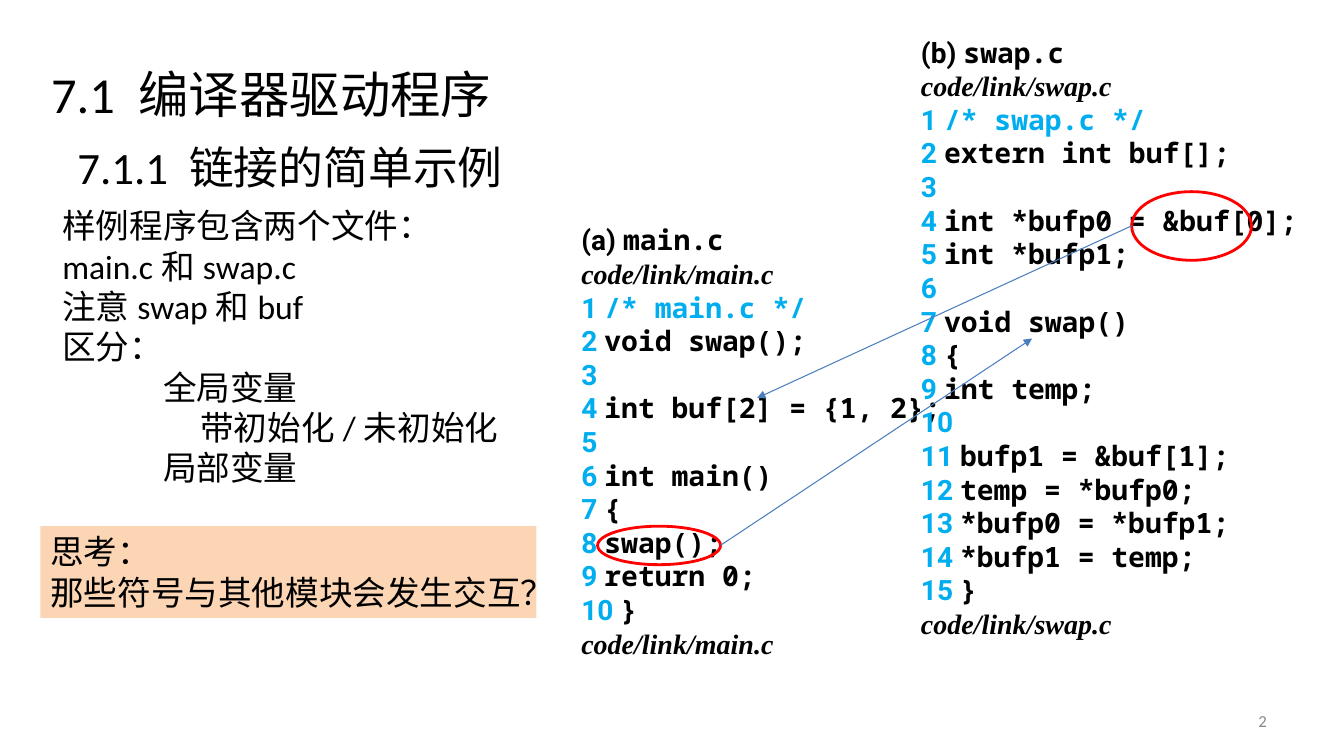
from dataclasses import dataclass

from lxml import etree
from pptx import Presentation
from pptx.dml.color import RGBColor
from pptx.enum.shapes import MSO_CONNECTOR, MSO_SHAPE
from pptx.enum.text import MSO_ANCHOR, PP_ALIGN
from pptx.oxml.ns import qn
from pptx.util import Cm, Pt

ELLIPSE, RECTANGLE = MSO_SHAPE.OVAL, MSO_SHAPE.RECTANGLE
STRAIGHT = MSO_CONNECTOR.STRAIGHT
TOP, MIDDLE = MSO_ANCHOR.TOP, MSO_ANCHOR.MIDDLE
LEFT, CENTER, RIGHT = PP_ALIGN.LEFT, PP_ALIGN.CENTER, PP_ALIGN.RIGHT

BLACK, CYAN, RED, BLUE = "000000", "00AEF0", "FF0000", "4B7EBC"
PEACH, GRAY = "FCD5B5", "898989"
BODY, CODE, NUMBER, PATH = "Calibri", "Noto Sans Mono", "Roboto", "Times New Roman"


@dataclass
class Box:
    left: float
    top: float
    width: float
    height: float

    def lengths(self):
        return Cm(self.left), Cm(self.top), Cm(self.width), Cm(self.height)


@dataclass
class Listing:
    label: str
    file: str
    box: Box
    lines: list[str]


@dataclass
class Reference:
    """A circled symbol and the arrow from it to its definition."""
    circle: Box
    start: tuple[float, float]
    end: tuple[float, float]


LISTINGS = [
    Listing("(a) ", "main.c", Box(14.4, 5.49, 10.74, 11.28), [
        "/* main.c */", "void swap();", "", "int buf[2] = {1, 2};", "",
        "int main()", "{", "swap();", "return 0;", "}"]),
    Listing("(b) ", "swap.c", Box(22.96, 0.76, 10.44, 15.65), [
        "/* swap.c */", "extern int buf[];", "", "int *bufp0 = &buf[0];",
        "int *bufp1;", "", "void swap()", "{", "int temp;", "",
        "bufp1 = &buf[1];", "temp = *bufp0;", "*bufp0 = *bufp1;",
        "*bufp1 = temp;", "}"]),
]

REFERENCES = [
    Reference(Box(15.06, 13.26, 3.1, 0.97), (18.16, 13.74), (26.01, 8.53)),
    Reference(Box(28.52, 4.83, 3.02, 1.73), (28.52, 5.69), (19.08, 10.03)),
]

# Text and left indent in centimetres
NOTES = [
    ("样例程序包含两个文件：main.c和swap.c", 0), ("注意swap和buf", 0), ("区分：", 0),
    ("全局变量", 2.54), ("带初始化/未初始化", 3.48), ("局部变量", 2.54),
]
QUESTION = [("思考：", 0), ("那些符号与其他模块会发生交互？", 0)]


def color(value: str) -> RGBColor:
    return RGBColor.from_string(value)


def add_run(paragraph, text: str, *, size=20, font=BODY, fill=BLACK,
            bold=False, italic=False) -> None:
    run = paragraph.add_run()
    run.text = text
    run.font.size = Pt(size)
    run.font.name = font
    run.font.bold = bold
    run.font.italic = italic
    run.font.color.rgb = color(fill)
    properties = run.font._element
    for tag in ("a:ea", "a:cs"):
        if font != BODY:
            etree.SubElement(properties, qn(tag)).set("typeface", font)


def add_text_frame(slide, box: Box, anchor=TOP):
    frame = slide.shapes.add_textbox(*box.lengths()).text_frame
    frame.word_wrap = True
    frame.vertical_anchor = anchor
    return frame


def next_paragraph(frame, align=LEFT):
    first = frame.paragraphs[0]
    paragraph = frame.add_paragraph() if first.runs else first
    paragraph.alignment = align
    return paragraph


def add_line(slide, box: Box, text: str, size: float, *, align=LEFT,
             anchor=TOP, fill=BLACK) -> None:
    frame = add_text_frame(slide, box, anchor)
    add_run(next_paragraph(frame, align), text, size=size, fill=fill)


def fill_notes(frame, notes: list[tuple[str, float]]) -> None:
    for text, indent in notes:
        paragraph = next_paragraph(frame)
        paragraph._p.get_or_add_pPr().set("marL", str(int(Cm(indent))))
        add_run(paragraph, text, size=24)


def add_listing(slide, listing: Listing) -> None:
    frame = add_text_frame(slide, listing.box)

    def code_paragraph():
        paragraph = next_paragraph(frame)
        paragraph.line_spacing = Pt(24)
        return paragraph

    def add_path() -> None:
        add_run(code_paragraph(), f"code/link/{listing.file}", font=PATH,
                bold=True, italic=True)

    heading = code_paragraph()
    add_run(heading, listing.label, font=NUMBER, bold=True)
    add_run(heading, listing.file, font=CODE, bold=True)
    add_path()
    for number, line in enumerate(listing.lines, start=1):
        paragraph = code_paragraph()
        add_run(paragraph, f"{number} " if line else str(number),
                font=NUMBER, fill=CYAN, bold=True)
        if line:
            add_run(paragraph, line, font=CODE, bold=True,
                    fill=CYAN if line.startswith("/*") else BLACK)
    add_path()


def add_reference(slide, reference: Reference) -> None:
    circle = slide.shapes.add_shape(ELLIPSE, *reference.circle.lengths())
    circle.shadow.inherit = False
    circle.fill.background()
    circle.line.color.rgb = color(RED)
    circle.line.width = Pt(2)

    ends = [Cm(value) for value in reference.start + reference.end]
    arrow = slide.shapes.add_connector(STRAIGHT, *ends)
    arrow.line.color.rgb = color(BLUE)
    arrow.line.width = Pt(0.75)
    etree.SubElement(arrow.line._get_or_add_ln(), qn("a:tailEnd")).set("type", "triangle")
    etree.SubElement(arrow._element.spPr, qn("a:effectLst"))


def add_question(slide, box: Box) -> None:
    panel = slide.shapes.add_shape(RECTANGLE, *box.lengths())
    panel.shadow.inherit = False
    panel.fill.solid()
    panel.fill.fore_color.rgb = color(PEACH)
    panel.line.fill.background()
    panel.text_frame.word_wrap = True
    panel.text_frame.vertical_anchor = TOP
    fill_notes(panel.text_frame, QUESTION)


def main() -> None:
    presentation = Presentation()
    presentation.slide_width = Cm(33.87)
    presentation.slide_height = Cm(19.05)
    slide = presentation.slides.add_slide(presentation.slide_layouts[6])

    add_line(slide, Box(1.02, 0.76, 11.63, 3.18), "7.1 编译器驱动程序", 36,
             align=CENTER, anchor=MIDDLE)
    add_line(slide, Box(1.7, 3.4, 30.48, 1.7), "7.1.1 链接的简单示例", 32)
    add_line(slide, Box(24.28, 17.65, 7.9, 1.02), "2", 12, align=RIGHT,
             anchor=MIDDLE, fill=GRAY)
    for listing in LISTINGS:
        add_listing(slide, listing)
    for reference in REFERENCES:
        add_reference(slide, reference)
    fill_notes(add_text_frame(slide, Box(1.32, 5.05, 12.19, 7.44)), NOTES)
    add_question(slide, Box(1.02, 13.26, 12.5, 2.31))
    presentation.save("out.pptx")


if __name__ == "__main__":
    main()
